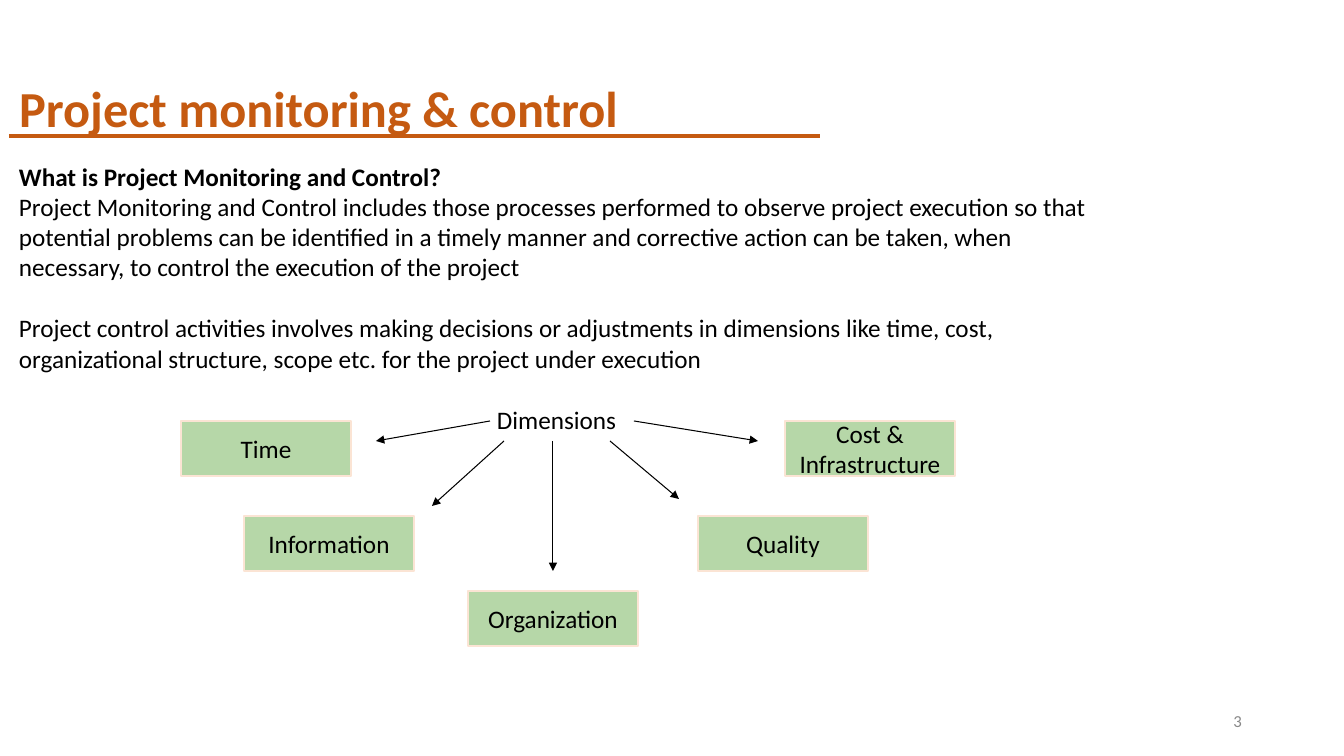
"""Build the slide on project monitoring and control."""
from lxml.etree import SubElement
from pptx import Presentation
from pptx.dml.color import RGBColor
from pptx.enum.shapes import MSO_CONNECTOR, MSO_SHAPE
from pptx.enum.text import MSO_ANCHOR, MSO_AUTO_SIZE, PP_ALIGN
from pptx.oxml.ns import qn
from pptx.util import Emu, Pt

SCALE = 914400 / 100.8
RUST = RGBColor(0xC5, 0x5A, 0x11)
BLACK = RGBColor(0, 0, 0)
GREY = RGBColor(0x88, 0x88, 0x88)
GREEN = RGBColor(0xB6, 0xD7, 0xA8)
PEACH = RGBColor(0xFB, 0xE4, 0xD4)

TITLE = {"name": "Calibri", "size": Pt(36), "bold": True}
HEAD = {"name": "Calibri", "size": Pt(18), "bold": True}
BODY = {"name": "Calibri", "size": Pt(18), "bold": False}
SMALL = {"name": "Calibri", "size": Pt(12), "bold": False}
FRAME = {"word_wrap": True, "auto_size": MSO_AUTO_SIZE.NONE}

GAP = Pt(22)
BOX_W, BOX_H = 170, 55
INDENT = 478
PARTS = [
    ("What is Project Monitoring and Control?", HEAD, 0, 0),
    ("Project Monitoring and Control includes those processes performed to "
     "observe project execution so that potential problems can be identified "
     "in a timely manner and corrective action can be taken, when necessary, "
     "to control the execution of the project", BODY, 0, 0),
    ("Project control activities involves making decisions or adjustments in "
     "dimensions like time, cost, organizational structure, scope etc. for "
     "the project under execution", BODY, GAP, 0),
    ("Dimensions", BODY, GAP, INDENT),
]
BOXES = [
    ("Time", 181, 421),
    ("Organization", 468, 591),
    ("Information", 244, 516),
    ("Quality", 698, 516),
    ("Cost & Infrastructure", 785, 421),
]
ARROWS = [
    (490, 421, 376, 441),
    (504, 441, 432, 506),
    (553, 441, 553, 571),
    (610, 441, 679, 499),
    (634, 421, 758, 441),
]


def px(*sizes):
    """Turn pixel lengths into EMU."""
    return [Emu(round(size * SCALE)) for size in sizes]


def apply(target, values):
    """Set each named value on the target."""
    for name, value in values.items():
        setattr(target, name, value)


def write(para, text, font, color=BLACK, align=PP_ALIGN.LEFT):
    """Write one run of text in a paragraph."""
    para.alignment = align
    run = para.add_run()
    run.text = text
    apply(run.font, font)
    run.font.color.rgb = color


def add_title(slide, text):
    """Place and fill the title."""
    title = slide.shapes.title
    apply(title, dict(zip(("left", "top", "width", "height"),
                          px(9, 72, 757, 50))))
    apply(title.text_frame, FRAME)
    title.text_frame.vertical_anchor = MSO_ANCHOR.TOP
    write(title.text_frame.paragraphs[0], text, TITLE, RUST)


def add_frame(slide, area, anchor=MSO_ANCHOR.TOP):
    """Add a text box and return its frame."""
    frame = slide.shapes.add_textbox(*px(*area)).text_frame
    apply(frame, FRAME)
    frame.vertical_anchor = anchor
    return frame


def add_body(slide):
    """Add the text with its spaced and indented parts."""
    frame = add_frame(slide, (9, 156, 1089, 285))
    for rank, (text, font, gap, indent) in enumerate(PARTS):
        para = frame.add_paragraph() if rank else frame.paragraphs[0]
        para.space_before = gap
        write(para, text, font)
        if indent:
            para._p.get_or_add_pPr().set("marL", str(px(indent)[0]))


def add_box(slide, text, left, top):
    """Add a green box with a label."""
    box = slide.shapes.add_shape(MSO_SHAPE.RECTANGLE,
                                 *px(left, top, BOX_W, BOX_H))
    box.shadow.inherit = False
    box.fill.solid()
    box.fill.fore_color.rgb = GREEN
    box.line.color.rgb = PEACH
    box.line.width = Pt(1)
    apply(box.text_frame, FRAME)
    box.text_frame.vertical_anchor = MSO_ANCHOR.MIDDLE
    write(box.text_frame.paragraphs[0], text, BODY, align=PP_ALIGN.CENTER)


def add_line(slide, ends, color, width, arrow=False):
    """Add a straight line, with an arrowhead if asked."""
    line = slide.shapes.add_connector(MSO_CONNECTOR.STRAIGHT, *px(*ends))
    line.line.color.rgb = color
    line.line.width = Pt(width)
    if arrow:
        SubElement(line.line._get_or_add_ln(), qn("a:tailEnd"),
                   type="triangle")
    SubElement(line._element.spPr, qn("a:effectLst"))


def main():
    """Build and save the slide."""
    deck = Presentation()
    deck.slide_width, deck.slide_height = px(1344, 756)
    slide = deck.slides.add_slide(deck.slide_layouts[5])
    add_title(slide, "Project monitoring & control")
    add_line(slide, (9, 136, 820, 136), RUST, 3)
    number = add_frame(slide, (950, 701, 302, 40), MSO_ANCHOR.MIDDLE)
    write(number.paragraphs[0], "3", SMALL, GREY, PP_ALIGN.RIGHT)
    add_body(slide)
    for box in BOXES:
        add_box(slide, *box)
    for ends in ARROWS:
        add_line(slide, ends, BLACK, 0.75, arrow=True)
    deck.save("out.pptx")


if __name__ == "__main__":
    main()
